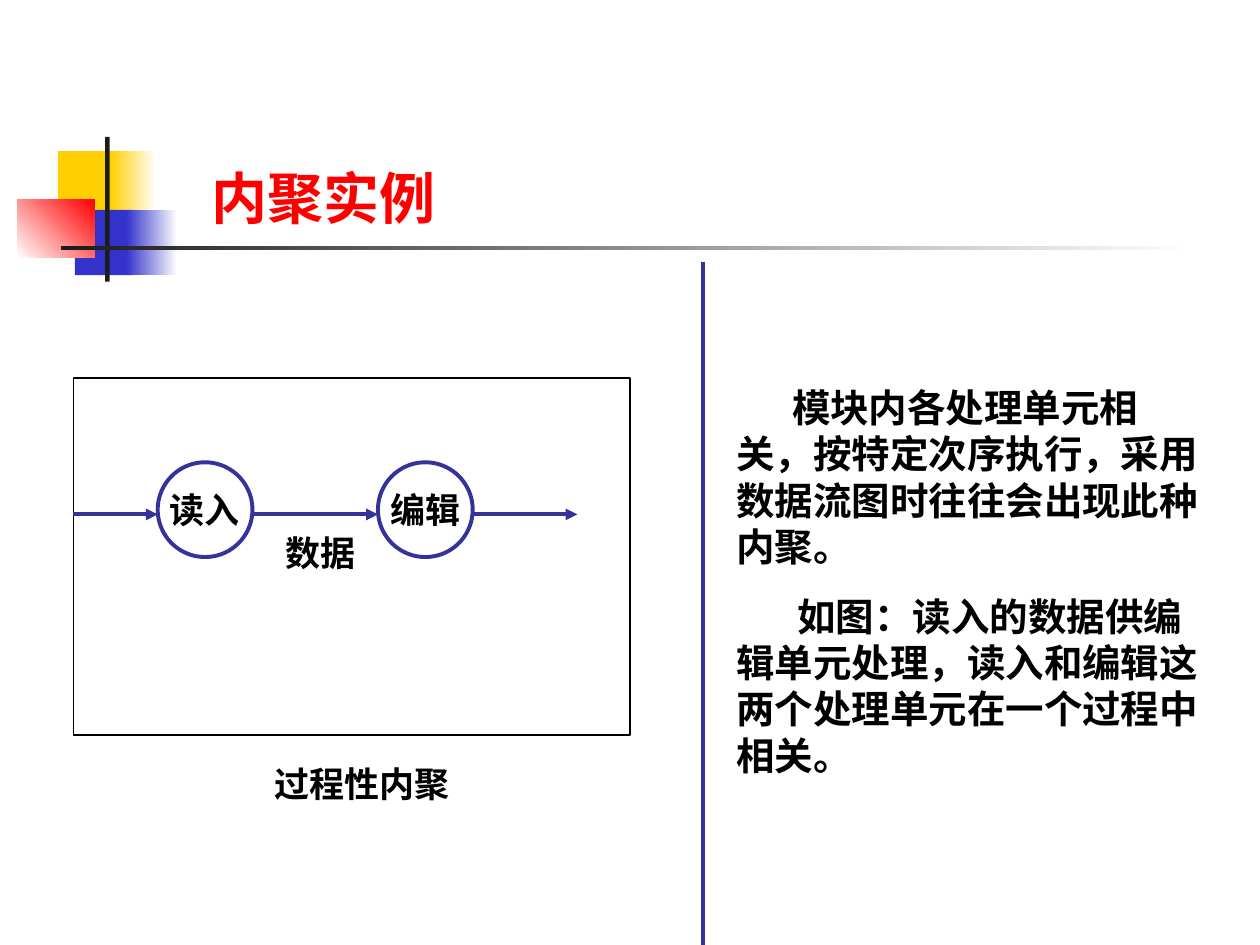
"""Build the slide on procedural cohesion with its data flow diagram."""
import pptx
import pptx.dml.color
import pptx.enum.shapes
import pptx.enum.text
import pptx.oxml.ns
import pptx.util
from lxml import etree

Cm = pptx.util.Cm
Pt = pptx.util.Pt
rgb = pptx.dml.color.RGBColor.from_string
SHAPE = pptx.enum.shapes.MSO_SHAPE
INK = "333399"


def write(frame, paragraphs, size, colour="000000"):
    frame.text = "\n".join(paragraphs)
    for paragraph in frame.paragraphs:
        for run in paragraph.runs:
            run.font.name = "Karla"
            run.font.size = Pt(size)
            run.font.bold = True
            run.font.color.rgb = rgb(colour)


def draw_line(x1, y1, x2, y2, arrow):
    line = slide.shapes.add_connector(
        pptx.enum.shapes.MSO_CONNECTOR.STRAIGHT, Cm(x1), Cm(y1), Cm(x2), Cm(y2))
    line.line.color.rgb = rgb(INK)
    line.line.width = Pt(2.25)
    if arrow:
        etree.SubElement(line.line._get_or_add_ln(), pptx.oxml.ns.qn("a:tailEnd"), type="triangle")
    etree.SubElement(line._element.spPr, pptx.oxml.ns.qn("a:effectLst"))


presentation = pptx.Presentation()
presentation.slide_width = Cm(25.4)
presentation.slide_height = Cm(19.05)
slide = presentation.slides.add_slide(presentation.slide_layouts[6])

ornaments = [
    (1.17, 3.05, 1.22, 1.32, ["FFCF01"], 0),
    (2.23, 3.05, 0.92, 1.32, ["FFCF01", "FFFFFF"], 0),
    (1.51, 4.23, 1.17, 1.32, ["3333CC"], 0),
    (2.55, 4.23, 1.02, 1.32, ["3333CC", "FFFFFF"], 0),
    (0.35, 4.02, 1.56, 1.18, ["FFFFFF", "FF0000"], 45),
    (2.12, 2.76, 0.09, 2.92, ["1C1C1C"], 0),
    (1.23, 4.95, 22.86, 0.09, ["1C1C1C", "FFFFFF"], 0),
]
for left, top, width, height, colours, angle in ornaments:
    ornament = slide.shapes.add_shape(SHAPE.RECTANGLE, Cm(left), Cm(top), Cm(width), Cm(height))
    ornament.shadow.inherit = False
    ornament.line.fill.background()
    if len(colours) == 1:
        ornament.fill.solid()
        ornament.fill.fore_color.rgb = rgb(colours[0])
    else:
        ornament.fill.gradient()
        ornament.fill.gradient_angle = angle
        for stop, colour, position in zip(ornament.fill.gradient_stops, colours, (0, 1)):
            stop.color.rgb = rgb(colour)
            stop.position = position

draw_line(14.18, 5.29, 14.18, 19.05, False)

frame = slide.shapes.add_shape(SHAPE.RECTANGLE, Cm(1.48), Cm(7.62), Cm(11.22), Cm(7.2))
frame.shadow.inherit = False
frame.fill.background()
frame.line.color.rgb = rgb("000000")
frame.line.width = Pt(0.75)

for left, step in [(3.18, "读入"), (7.62, "编辑")]:
    process = slide.shapes.add_shape(SHAPE.OVAL, Cm(left), Cm(9.32), Cm(1.91), Cm(1.91))
    process.shadow.inherit = False
    process.fill.background()
    process.line.color.rgb = rgb(INK)
    process.line.width = Pt(2.25)
    process.text_frame.word_wrap = False
    process.text_frame.vertical_anchor = pptx.enum.text.MSO_ANCHOR.MIDDLE
    write(process.text_frame, [step], 20)
    process.text_frame.paragraphs[0].alignment = pptx.enum.text.PP_ALIGN.CENTER

for start, end in [(1.48, 3.18), (5.08, 7.62), (9.53, 11.64)]:
    draw_line(start, 10.37, end, 10.37, True)

explanation = [
    "模块内各处理单元相关，按特定次序执行，采用数据流图时往往会出现此种内聚。",
    "如图：读入的数据供编辑单元处理，读入和编辑这两个处理单元在一个过程中相关。",
]
texts = [
    (4.01, 3.18, 19.05, 1.63, ["内聚实例"], 32, "FF0000"),
    (14.6, 7.62, 9.95, 7.26, explanation, 22, "000000"),
    (5.5, 10.58, 2.33, 1.11, ["数据"], 20, "000000"),
    (5.29, 15.24, 5.08, 1.11, ["过程性内聚"], 20, "000000"),
]
for left, top, width, height, paragraphs, size, colour in texts:
    box = slide.shapes.add_textbox(Cm(left), Cm(top), Cm(width), Cm(height))
    box.text_frame.word_wrap = True
    write(box.text_frame, paragraphs, size, colour)
    if paragraphs is explanation:
        for paragraph, indent in zip(box.text_frame.paragraphs, (1.12, 1.23)):
            properties = paragraph._p.get_or_add_pPr()
            properties.set("indent", str(Cm(indent)))
            properties.set("hangingPunct", "0")
        box.text_frame.paragraphs[1].space_before = Pt(13.8)

presentation.save("out.pptx")
